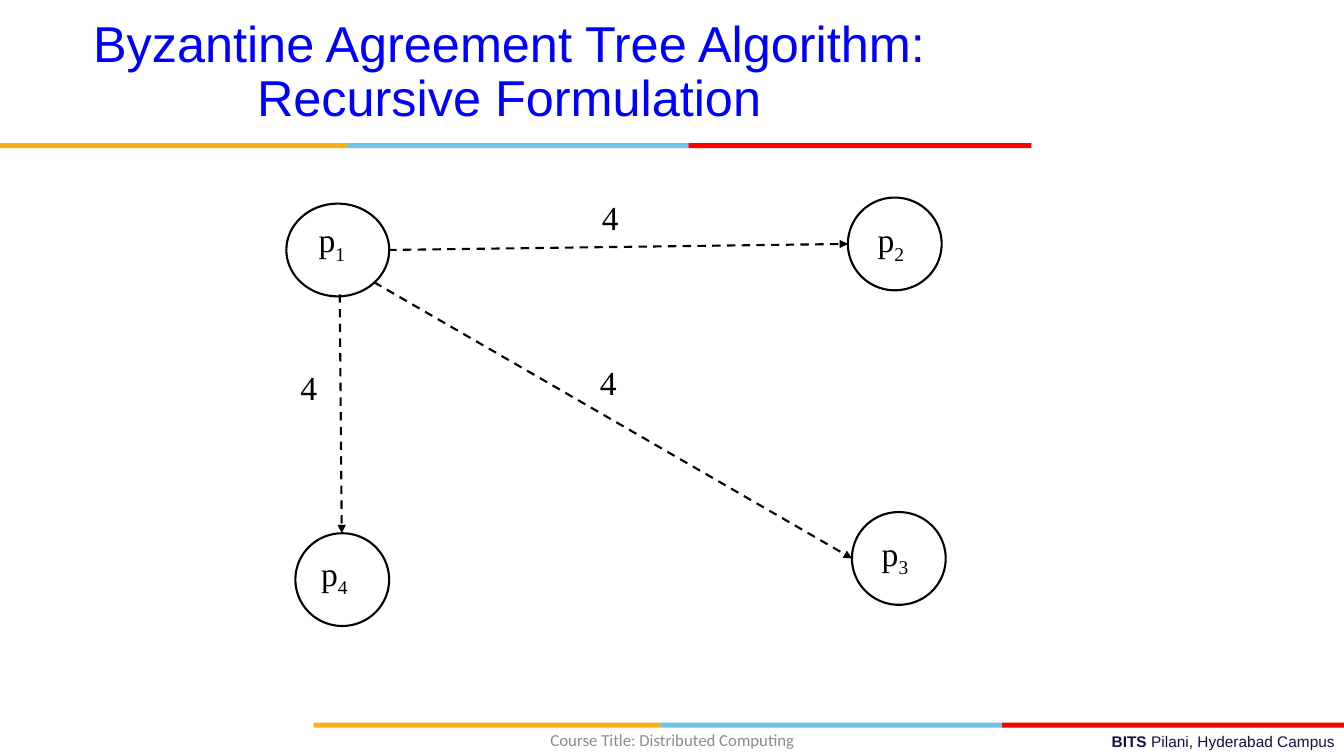
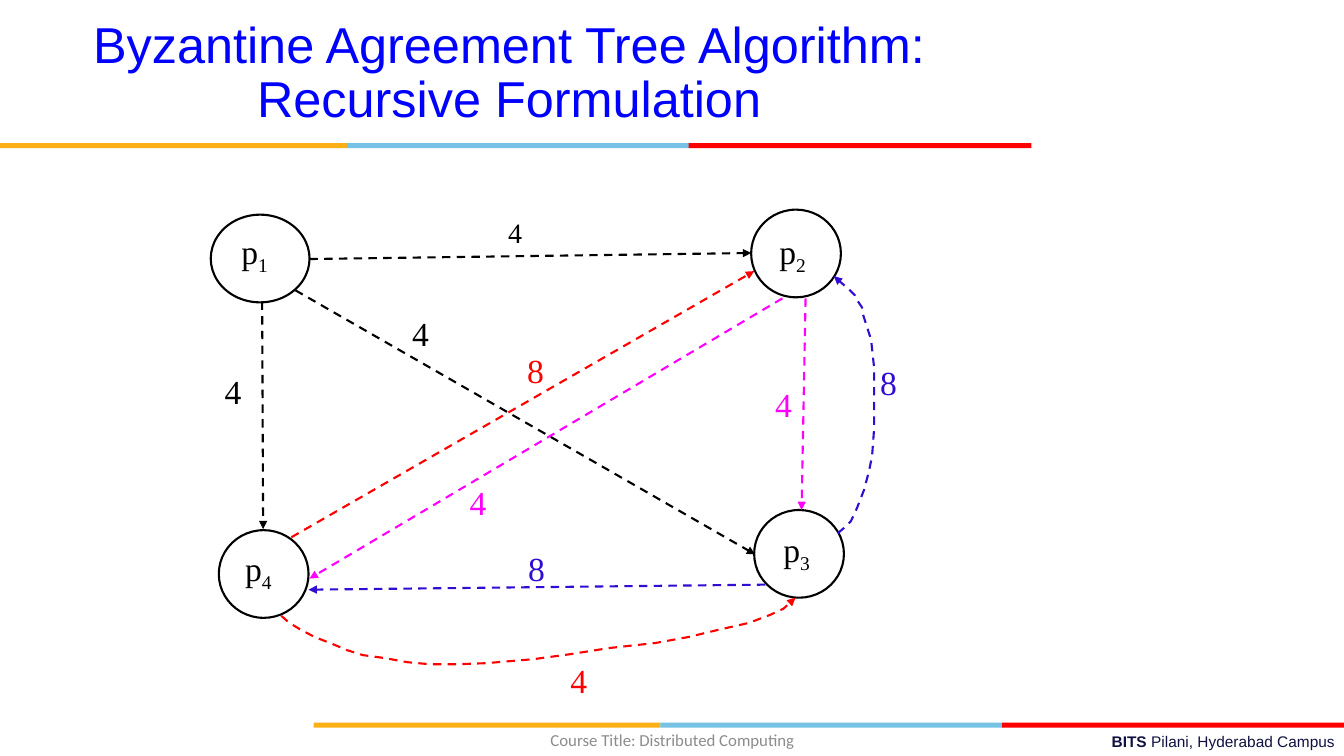
"""Build two slides on the recursive Byzantine agreement tree algorithm."""
from lxml.etree import SubElement
from pptx import Presentation
from pptx.dml.color import RGBColor
from pptx.enum.dml import MSO_LINE
from pptx.enum.shapes import MSO_CONNECTOR, MSO_SHAPE
from pptx.enum.text import MSO_ANCHOR, MSO_AUTO_SIZE, PP_ALIGN
from pptx.oxml.ns import qn
from pptx.util import Pt

PX = 9144
COLORS = {
    "black": "000000", "red": "FF0000", "magenta": "FF00FF", "indigo": "320CD2",
    "title": "0000FF", "gold": "FCB017", "sky": "76C2E5", "navy": "101141",
    "gray": "8C8C8C",
}
SERIF = "Times New Roman"
TITLE = "Byzantine Agreement Tree Algorithm: Recursive Formulation"
BAND_PARTS = [("gold", 0, 344), ("sky", 344, 340), ("red", 683, 340)]
BAND_ORIGINS = [(0, 142), (311, 717)]
ELLIPSE_INSET = 0.146

DIAGRAMS = [
    {
        "title_top": 10,
        "nodes": [
            ("1", (284, 202, 102, 92), (306, 212)),
            ("2", (841, 196, 93, 92), (861, 212)),
            ("3", (845, 508, 93, 92), (865, 523)),
            ("4", (293, 529, 93, 92), (309, 543)),
        ],
        "arrows": [
            ("black", (337, 292), (339, 529)),
            ("black", (385, 248), (841, 242)),
            ("black", (371, 280), (845, 554)),
        ],
        "curves": [],
        "labels": [
            ("4", "black", 24, 288, 359),
            ("4", "black", 24, 585, 354),
            ("4", "black", 24, 587, 190),
        ],
    },
    {
        "title_top": 11,
        "nodes": [
            ("1", (209, 213, 98, 87), (229, 224)),
            ("2", (745, 208, 89, 87), (763, 224)),
            ("3", (748, 506, 89, 87), (767, 520)),
            ("4", (217, 526, 89, 87), (233, 539)),
        ],
        "arrows": [
            ("black", (260, 299), (261, 525)),
            ("black", (307, 257), (745, 251)),
            ("black", (293, 288), (749, 550)),
            ("red", (289, 533), (748, 269)),
            ("magenta", (776, 296), (307, 574)),
            ("magenta", (799, 296), (795, 506)),
            ("indigo", (759, 580), (306, 585)),
        ],
        "curves": [
            ("red", [
                (279, 611), (287, 618), (297, 624), (312, 632), (330, 639), (344, 645),
                (360, 650), (382, 653), (404, 657), (426, 659), (454, 659), (482, 658),
                (529, 654), (566, 649), (604, 643), (650, 638), (683, 632), (712, 625),
                (743, 618), (764, 610), (777, 604), (789, 593),
            ]),
            ("indigo", [
                (831, 529), (838, 523), (844, 517), (850, 504), (857, 486), (862, 467),
                (865, 452), (867, 425), (867, 394), (867, 365), (864, 337), (856, 312),
                (855, 305), (851, 299), (848, 293), (843, 288), (835, 281), (827, 274),
            ]),
        ],
        "labels": [
            ("4", "black", 20, 494, 209),
            ("4", "black", 24, 213, 363),
            ("4", "black", 24, 399, 305),
            ("8", "red", 24, 513, 342),
            ("4", "red", 24, 556, 650),
            ("4", "magenta", 24, 456, 473),
            ("4", "magenta", 24, 759, 376),
            ("8", "indigo", 24, 514, 539),
            ("8", "indigo", 24, 863, 354),
        ],
    },
]


def write(frame, pieces, font_name, size, color, alignment=PP_ALIGN.LEFT):
    """Fill a text frame with one paragraph and return its runs."""
    frame.word_wrap = True
    paragraph = frame.paragraphs[0]
    paragraph.alignment = alignment
    for piece in pieces:
        run = paragraph.add_run()
        run.text = piece
        run.font.name = font_name
        run.font.size = Pt(size)
        run.font.color.rgb = RGBColor.from_string(COLORS[color])
    return paragraph.runs


def style_arrow(shape, color):
    """Give a connector or curve a dashed line with an arrowhead."""
    shape.line.color.rgb = RGBColor.from_string(COLORS[color])
    shape.line.width = Pt(1.5)
    shape.line.dash_style = MSO_LINE.DASH
    properties = shape._element.spPr
    SubElement(properties.find(qn("a:ln")), qn("a:tailEnd"), type="triangle")
    SubElement(properties, qn("a:effectLst"))


presentation = Presentation()
presentation.slide_width = 1333 * PX
presentation.slide_height = 750 * PX

for diagram in DIAGRAMS:
    slide = presentation.slides.add_slide(presentation.slide_layouts[5])
    shapes = slide.shapes

    for origin_x, origin_y in BAND_ORIGINS:
        for color, offset, width in BAND_PARTS:
            band = shapes.add_shape(MSO_SHAPE.RECTANGLE, (origin_x + offset) * PX,
                                    origin_y * PX, width * PX, 5 * PX)
            band.shadow.inherit = False
            band.fill.solid()
            band.fill.fore_color.rgb = RGBColor.from_string(COLORS[color])
            band.line.fill.background()

    campus = shapes.add_textbox(478 * PX, 721 * PX, 856 * PX, 29 * PX)
    campus_runs = write(campus.text_frame, ["BITS ", "Pilani, Hyderabad Campus"],
                        "Arial", 11, "navy", PP_ALIGN.RIGHT)
    campus_runs[0].font.bold = True

    course = shapes.add_textbox(442 * PX, 714 * PX, 450 * PX, 40 * PX)
    course.text_frame.vertical_anchor = MSO_ANCHOR.MIDDLE
    write(course.text_frame, ["Course Title: Distributed Computing"],
          "Calibri", 12, "gray", PP_ALIGN.CENTER)

    title = shapes.title
    title.left, title.top = 44 * PX, diagram["title_top"] * PX
    title.width, title.height = 922 * PX, 125 * PX
    title.text_frame.auto_size = MSO_AUTO_SIZE.NONE
    title.text_frame.vertical_anchor = MSO_ANCHOR.MIDDLE
    write(title.text_frame, [TITLE], "Arial", 36, "title", PP_ALIGN.CENTER)
    title.text_frame.paragraphs[0].line_spacing = 0.9

    for number, (left, top, width, height), (text_left, text_top) in diagram["nodes"]:
        node = shapes.add_shape(MSO_SHAPE.OVAL, left * PX, top * PX, width * PX, height * PX)
        node.shadow.inherit = False
        node.fill.background()
        node.line.color.rgb = RGBColor.from_string(COLORS["black"])
        node.line.width = Pt(1.5)
        frame = node.text_frame
        frame.vertical_anchor = MSO_ANCHOR.TOP
        frame.margin_left = round(text_left + 10 - left - ELLIPSE_INSET * width) * PX
        frame.margin_top = round(text_top + 5 - top - ELLIPSE_INSET * height) * PX
        frame.margin_right = frame.margin_bottom = 0
        node_runs = write(frame, ["p", number], SERIF, 24, "black")
        node_runs[1]._r.get_or_add_rPr().set("baseline", "-25000")

    for color, (start_x, start_y), (end_x, end_y) in diagram["arrows"]:
        arrow = shapes.add_connector(MSO_CONNECTOR.STRAIGHT, start_x * PX, start_y * PX,
                                     end_x * PX, end_y * PX)
        style_arrow(arrow, color)

    for color, points in diagram["curves"]:
        builder = shapes.build_freeform(*points[0], scale=PX)
        builder.add_line_segments(points[1:], close=False)
        curve = builder.convert_to_shape()
        curve.fill.background()
        style_arrow(curve, color)

    for text, color, size, left, top in diagram["labels"]:
        label = shapes.add_textbox(left * PX, top * PX, 45 * PX, 45 * PX)
        write(label.text_frame, [text], SERIF, size, color)

presentation.save("out.pptx")
